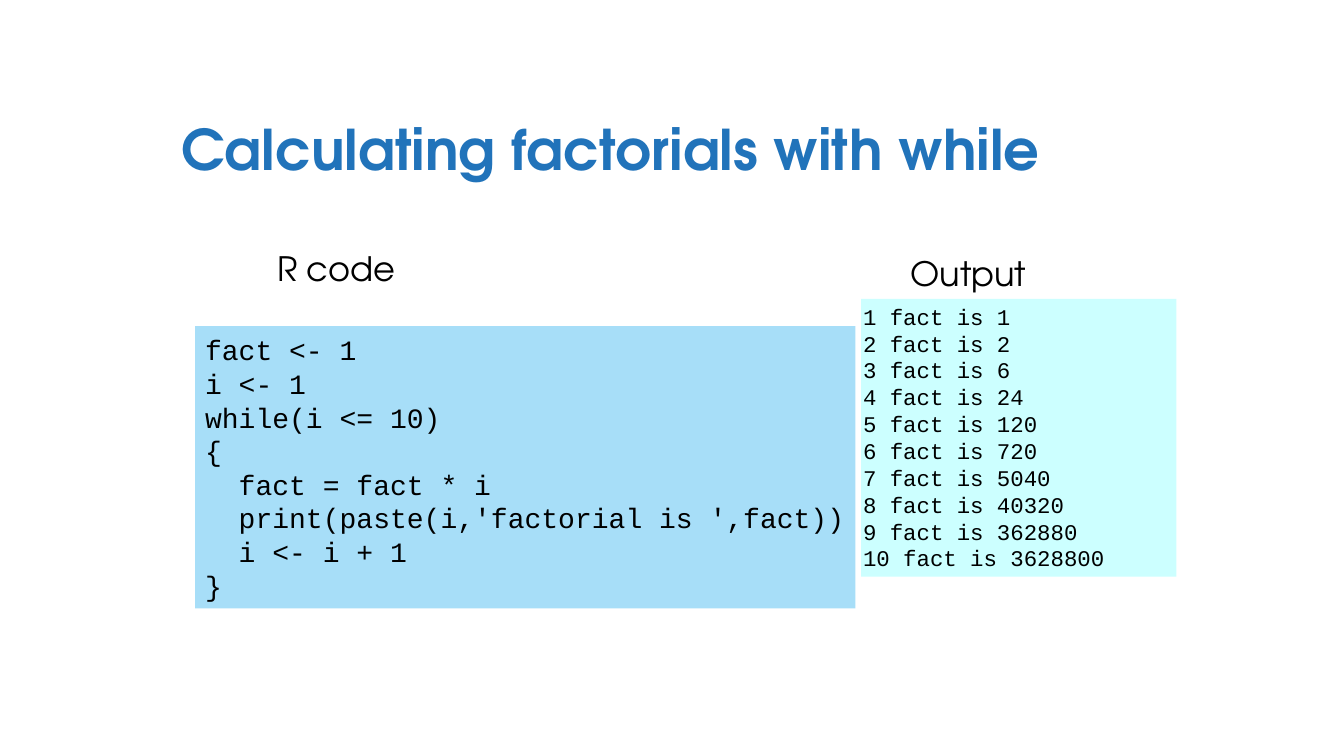
from dataclasses import dataclass
from math import factorial

from pptx import Presentation
from pptx import util as u
from pptx.dml.color import RGBColor
from pptx.enum import shapes, text


@dataclass(frozen=True)
class Theme:
    """Colours, fonts and type sizes of the slide."""
    heading: str = "2173BA"
    ink: str = "000000"
    code_fill: str = "A7DEF8"
    output_fill: str = "CCFFFF"
    sans: str = "TeX Gyre Adventor"
    mono: str = "Courier New"
    title_size: int = 40
    label_size: int = 24
    code_size: int = 20
    output_size: int = 16


class SlideBuilder:
    """Draws titles, labels, panels and listings on one slide."""

    def __init__(self, slide, theme):
        self.slide = slide
        self.theme = theme

    def set_text(self, shape, lines, font, size, color, bold=False,
                 align=text.PP_ALIGN.LEFT, wrap=True, grow=True):
        frame = shape.text_frame
        frame.word_wrap = wrap
        frame.vertical_anchor = text.MSO_ANCHOR.MIDDLE
        frame.auto_size = (text.MSO_AUTO_SIZE.SHAPE_TO_FIT_TEXT if grow
                           else text.MSO_AUTO_SIZE.NONE)
        frame.text = "\n".join(lines)
        for paragraph in frame.paragraphs:
            paragraph.alignment = align
            paragraph.font.name = font
            paragraph.font.size = u.Pt(size)
            paragraph.font.bold = bold
            paragraph.font.color.rgb = RGBColor.from_string(color)

    def box(self, place):
        return self.slide.shapes.add_textbox(*map(u.Cm, place))

    def panel(self, place, fill):
        panel = self.slide.shapes.add_shape(
            shapes.MSO_SHAPE.RECTANGLE, *map(u.Cm, place))
        panel.shadow.inherit = False
        panel.fill.solid()
        panel.fill.fore_color.rgb = RGBColor.from_string(fill)
        panel.line.fill.background()
        return panel

    def title(self, words, place):
        self.set_text(self.box(place), [words], self.theme.sans, self.theme.title_size,
                      self.theme.heading, bold=True, grow=False)

    def label(self, words, place):
        self.set_text(self.box(place), [words], self.theme.sans, self.theme.label_size,
                      self.theme.ink, align=text.PP_ALIGN.CENTER, wrap=False)

    def code(self, lines, place):
        self.set_text(self.panel(place, self.theme.code_fill), lines, self.theme.mono,
                      self.theme.code_size, self.theme.ink)

    def output(self, lines, place):
        self.set_text(self.box(place), lines, self.theme.mono,
                      self.theme.output_size, self.theme.ink, wrap=False)


R_CODE = """fact <- 1
i <- 1
while(i <= 10)
{
  fact = fact * i
  print(paste(i,'factorial is ',fact))
  i <- i + 1
}"""


def main():
    deck = Presentation()
    deck.slide_width, deck.slide_height = u.Cm(33.87), u.Cm(19.05)
    theme = Theme()
    builder = SlideBuilder(deck.slides.add_slide(deck.slide_layouts[6]), theme)

    builder.title("Calculating factorials with while", (4.32, 2.13, 25, 3.18))
    builder.code(R_CODE.splitlines(), (4.92, 8.22, 16.64, 7.11))
    builder.panel((21.7, 7.53, 7.95, 7), theme.output_fill)
    builder.output([f"{i} fact is {factorial(i)}" for i in range(1, 11)],
                   (21.5, 7.47, 6.68, 7.09))
    builder.label("Output", (22.68, 6.25, 3.45, 1.27))
    builder.label("R code", (6.71, 6.12, 3.53, 1.27))
    deck.save("out.pptx")


if __name__ == "__main__":
    main()
